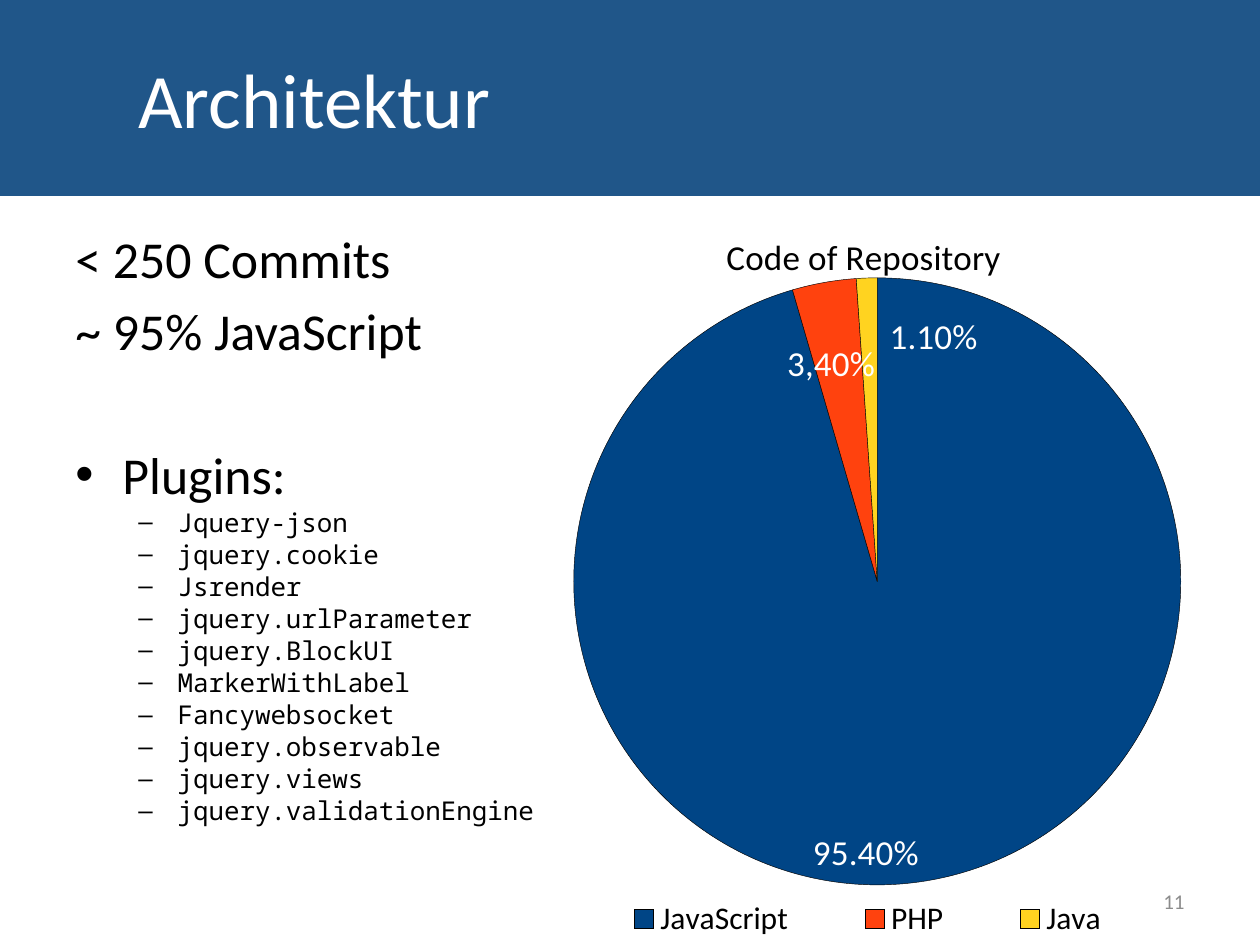
from dataclasses import dataclass
from typing import Optional

from lxml.etree import SubElement
from pptx import Presentation
from pptx.chart.data import CategoryChartData
from pptx.dml.color import RGBColor
from pptx.enum.chart import XL_CHART_TYPE, XL_LABEL_POSITION, XL_LEGEND_POSITION
from pptx.enum.text import MSO_ANCHOR, MSO_AUTO_SIZE, PP_ALIGN
from pptx.oxml import parse_xml
from pptx.oxml.ns import nsdecls, qn
from pptx.util import Cm, Pt


@dataclass(frozen=True)
class Theme:
    font: str = "Calibri"
    code_font: str = "Noto Sans Mono"
    banner: str = "205689"
    ink: str = "000000"
    light: str = "FFFFFF"
    muted: str = "8C8C8C"
    title_size: float = 44
    body_size: float = 29.6
    code_size: float = 14.8
    chart_size: float = 20
    legend_size: float = 18
    number_size: float = 12


@dataclass(frozen=True)
class Area:
    left: float
    top: float
    width: float
    height: float

    def lengths(self) -> tuple:
        return tuple(Cm(value) for value in (self.left, self.top, self.width, self.height))


@dataclass(frozen=True)
class Line:
    text: str
    before: float
    bullet: Optional[str] = None
    level: int = 0


@dataclass(frozen=True)
class Slice:
    name: str
    share: float
    color: str
    label: Optional[str] = None
    shift: Optional[tuple] = None


THEME = Theme()
BANNER = Area(0, 0, 25.4, 3.94)
BODY = Area(1.27, 4.45, 22.86, 12.57)
NUMBER = Area(18.21, 17.65, 5.92, 1.02)
CHART = Area(5.11, 3.94, 19.2, 15.11)
INDENTS = ((0.95, -0.95), (2.06, -0.79))

PLUGINS = (
    "Jquery-json", "jquery.cookie", "Jsrender", "jquery.urlParameter", "jquery.BlockUI",
    "MarkerWithLabel", "Fancywebsocket", "jquery.observable", "jquery.views",
    "jquery.validationEngine",
)
LINES = (
    Line("< 250 Commits", 1),
    Line("~ 95% JavaScript", 5.6),
    Line("Plugins:", 46.8, "•"),
    *(Line(name, 0.6, "–", 1) for name in PLUGINS),
)
SLICES = (
    Slice("JavaScript", 0.954, "004586"),
    Slice("PHP", 0.034, "FF420E", "3,40%", (-0.04, 0.07)),
    Slice("Java", 0.011, "FFD320", None, (0.07, 0.04)),
)


def style_font(font, *, size: float, color: str = THEME.ink, name: str = THEME.font) -> None:
    font.size = Pt(size)
    font.name = name
    font.bold = False
    font.color.rgb = RGBColor.from_string(color)


def write(para, text: str, *, align=PP_ALIGN.LEFT, before: float = 0, **style) -> None:
    span = para.add_run()
    span.text = text
    para.alignment = align
    para.space_before = Pt(before)
    style_font(span.font, **style)


def add_bullet(para, mark: str, level: int) -> None:
    para.level = level
    margin, indent = INDENTS[level]
    properties = para._p.get_or_add_pPr()
    properties.set("marL", str(Cm(margin)))
    properties.set("indent", str(Cm(indent)))
    SubElement(properties, qn("a:buFont"), typeface="Arial")
    SubElement(properties, qn("a:buChar"), char=mark)


def add_title(page, text: str) -> None:
    title = page.shapes.title
    title.left, title.top, title.width, title.height = BANNER.lengths()
    title.fill.solid()
    title.fill.fore_color.rgb = RGBColor.from_string(THEME.banner)
    title.line.color.rgb = RGBColor.from_string(THEME.banner)
    title.line.width = Pt(0.75)
    frame = title.text_frame
    frame.auto_size = MSO_AUTO_SIZE.NONE
    frame.vertical_anchor = MSO_ANCHOR.MIDDLE
    frame.margin_left = Cm(2.79)
    write(frame.paragraphs[0], text, size=THEME.title_size, color=THEME.light)


def add_box(page, area: Area, anchor=MSO_ANCHOR.TOP):
    frame = page.shapes.add_textbox(*area.lengths()).text_frame
    frame.word_wrap = True
    frame.vertical_anchor = anchor
    return frame


def add_lines(page, lines: tuple) -> None:
    frame = add_box(page, BODY)
    for index, line in enumerate(lines):
        para = frame.add_paragraph() if index else frame.paragraphs[0]
        size, name = ((THEME.body_size, THEME.font), (THEME.code_size, THEME.code_font))[line.level]
        write(para, line.text, before=line.before, size=size, name=name)
        if line.bullet:
            add_bullet(para, line.bullet, line.level)


def set_layout(parent, after: Optional[str], **values) -> None:
    for old in parent.findall(qn("c:layout")):
        parent.remove(old)
    entries = "".join(f'<c:{key} val="{value}"/>' for key, value in values.items())
    layout = parse_xml(
        f'<c:layout {nsdecls("c")}><c:manualLayout>{entries}</c:manualLayout></c:layout>'
    )
    if after:
        parent.find(qn(after)).addnext(layout)
    else:
        parent.insert(0, layout)


def add_pie(page, title: str, slices: tuple) -> None:
    data = CategoryChartData(number_format="0.00%")
    data.categories = [part.name for part in slices]
    data.add_series("Series 1", [part.share for part in slices])
    chart = page.shapes.add_chart(XL_CHART_TYPE.PIE, *CHART.lengths(), data).chart
    style_font(chart.font, size=10)
    chart.has_title = True
    write(chart.chart_title.text_frame.paragraphs[0], title,
          align=PP_ALIGN.CENTER, size=THEME.chart_size)
    chart.has_legend = True
    chart.legend.position = XL_LEGEND_POSITION.BOTTOM
    chart.legend.include_in_layout = False
    style_font(chart.legend.font, size=THEME.legend_size)
    plot = chart.plots[0]
    plot.vary_by_categories = True
    series = plot.series[0]
    labels = series.data_labels
    labels.show_value = True
    labels.show_percentage = False
    labels.number_format = "0.00%"
    labels.number_format_is_linked = False
    labels.position = XL_LABEL_POSITION.INSIDE_END
    style_font(labels.font, size=THEME.chart_size, color=THEME.light)
    edges = {"xMode": "edge", "yMode": "edge"}
    for index, part in enumerate(slices):
        point = series.points[index]
        point.format.fill.solid()
        point.format.fill.fore_color.rgb = RGBColor.from_string(part.color)
        point.format.line.color.rgb = RGBColor.from_string(THEME.ink)
        point.format.line.width = Pt(0.25)
        if part.shift:
            label = point.data_label
            style_font(label.font, size=THEME.chart_size, color=THEME.light)
            label.position = XL_LABEL_POSITION.INSIDE_END
            if part.label:
                write(label.text_frame.paragraphs[0], part.label,
                      size=THEME.chart_size, color=THEME.light)
            node = chart.element.xpath(f".//c:dLbl[c:idx/@val='{index}']")[0]
            set_layout(node, "c:idx", x=part.shift[0], y=part.shift[1])
    body = chart.element.find(qn("c:chart"))
    set_layout(body.find(qn("c:title")), "c:tx", **edges, x=0.49, y=0.04)
    set_layout(body.find(qn("c:plotArea")), None, layoutTarget="inner", **edges,
               x=0.33, y=0.11, w=0.65, h=0.81)
    set_layout(body.find(qn("c:legend")), "c:legendPos", **edges, x=0.33, y=0.93, w=0.63, h=0.07)


def main() -> None:
    deck = Presentation()
    deck.slide_width, deck.slide_height = Cm(25.4), Cm(19.05)
    page = deck.slides.add_slide(deck.slide_layouts[5])
    add_title(page, "Architektur")
    add_lines(page, LINES)
    write(add_box(page, NUMBER, MSO_ANCHOR.MIDDLE).paragraphs[0], "11",
          align=PP_ALIGN.RIGHT, size=THEME.number_size, color=THEME.muted)
    add_pie(page, "Code of Repository", SLICES)
    deck.save("out.pptx")


if __name__ == "__main__":
    main()
